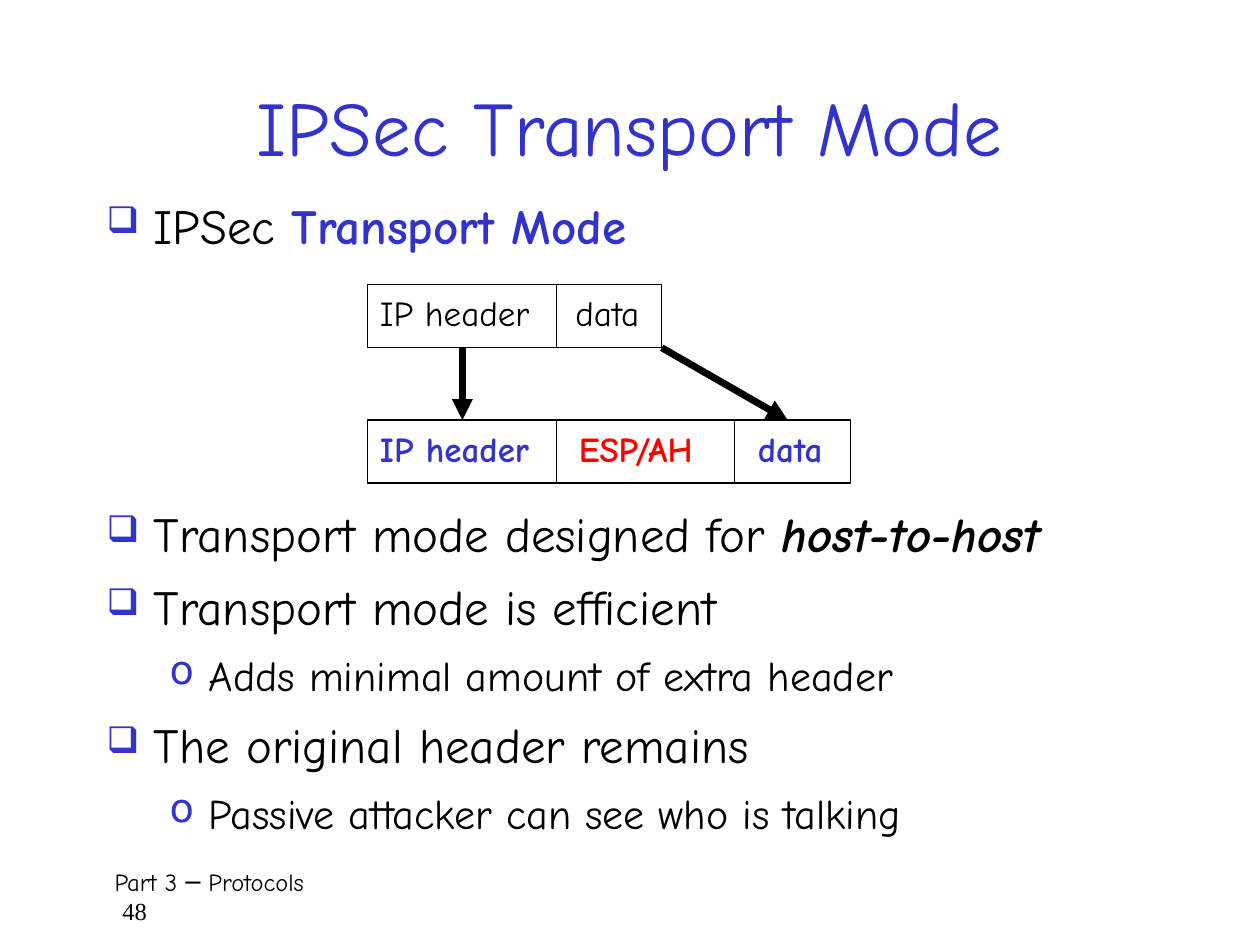
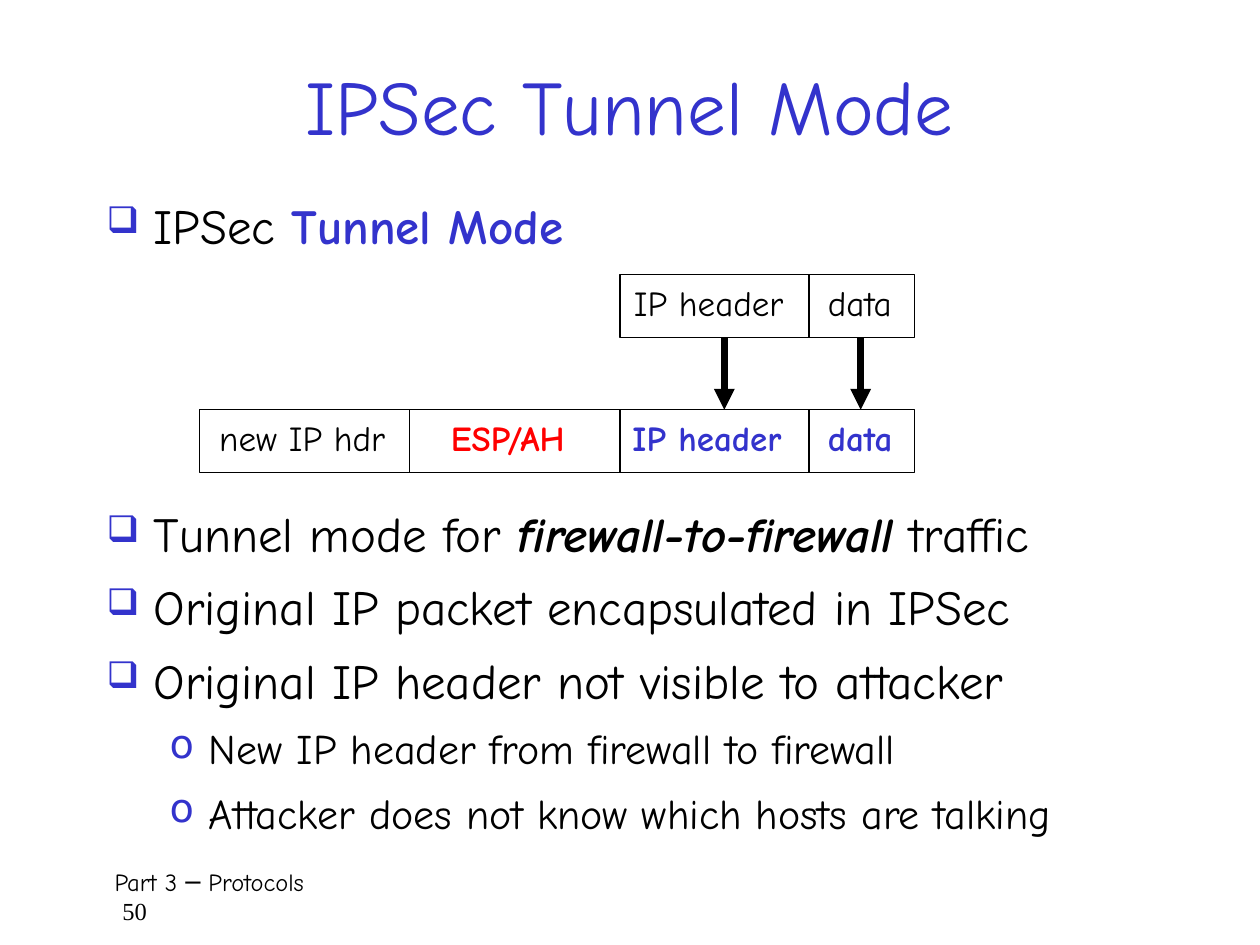
import dataclasses

import lxml.etree
import pptx
import pptx.dml.color
import pptx.enum.shapes
import pptx.enum.text
import pptx.oxml.ns
import pptx.util

Cm, Pt = pptx.util.Cm, pptx.util.Pt
RGB = pptx.dml.color.RGBColor.from_string
qn = pptx.oxml.ns.qn


@dataclasses.dataclass(frozen=True)
class Theme:
    font: str = "Comic Neue"
    number_font: str = "Times New Roman"
    ink: str = "000000"
    accent: str = "3333CC"
    alert: str = "FF0000"
    title: int = 44
    levels: tuple = (28, 24)
    label: int = 20
    footer: int = 14
    thin: float = 0.75
    thick: float = 4


THEME = Theme()

# Run styles: colour, bold, italic
PLAIN = (THEME.ink, False, False)
KEY = (THEME.accent, True, False)
ALERT = (THEME.alert, True, False)
STRESS = (THEME.ink, True, True)

# Bullet levels: character, size in percent, left margin, hanging indent (cm)
BULLETS = (("❑", 75, 0.95, 0.95), ("o", 95, 2.06, 0.79))

FOOTER = "Part 3 ─ Protocols"
MARGIN = 1.9
ROW_H = 1.27

# Packet rows hold left, top and cells of (label, style, width, label offset) in cm.
# Arrows hold the x of their start under the first row and end above the second.
SLIDES = [
    {
        "number": "48",
        "title": "IPSec Transport Mode",
        "title_top": 1.27,
        "lead": [(0, [("IPSec ", PLAIN), ("Transport Mode", KEY)])],
        "rows": [
            (7.41, 5.74, [("IP header", PLAIN, 3.81, 0), ("data", PLAIN, 2.12, 0.13)]),
            (7.41, 8.47, [("IP header", KEY, 3.81, 0), ("ESP/AH", ALERT, 3.59, 0.2),
                          ("data", KEY, 2.34, 0.22)]),
        ],
        "arrows": [(9.32, 9.32), (13.34, 15.88)],
        "points": [
            (0, [("Transport mode designed for ", PLAIN), ("host-to-host", STRESS)]),
            (0, [("Transport mode is efficient", PLAIN)]),
            (1, [("Adds minimal amount of extra header", PLAIN)]),
            (0, [("The original header remains", PLAIN)]),
            (1, [("Passive attacker can see who is talking", PLAIN)]),
        ],
    },
    {
        "number": "50",
        "title": "IPSec Tunnel Mode",
        "title_top": 0.85,
        "lead": [(0, [("IPSec ", PLAIN), ("Tunnel Mode", KEY)])],
        "rows": [
            (12.5, 5.53, [("IP header", PLAIN, 3.81, 0.03), ("data", PLAIN, 2.12, 0.13)]),
            (4.02, 8.26, [("new IP hdr", PLAIN, 4.24, 0.15), ("ESP/AH", ALERT, 4.24, 0.58),
                          ("IP header", KEY, 3.81, 0), ("data", KEY, 2.12, 0.13)]),
        ],
        "arrows": [(14.6, 14.6), (17.35, 17.35)],
        "points": [
            (0, [("Tunnel mode for ", PLAIN), ("firewall-to-firewall", STRESS),
                 (" traffic", PLAIN)]),
            (0, [("Original IP packet encapsulated in IPSec", PLAIN)]),
            (0, [("Original IP header not visible to attacker", PLAIN)]),
            (1, [("New IP header from firewall to firewall", PLAIN)]),
            (1, [("Attacker does not know which hosts are talking", PLAIN)]),
        ],
    },
]


def format_run(r, size, style=PLAIN, font=THEME.font):
    color, bold, italic = style
    r.font.name, r.font.size = font, Pt(size)
    r.font.bold, r.font.italic = bold, italic
    r.font.color.rgb = RGB(color)


def add_text(s, left, top, width, height, text=""):
    sp = s.shapes.add_textbox(Cm(left), Cm(top), Cm(width), Cm(height))
    tf = sp.text_frame
    tf.word_wrap = True
    tf.text = text
    return tf


def add_child(parent, tag, **attrs):
    return lxml.etree.SubElement(parent, qn(tag), attrs)


def set_bullet(p, level, tight):
    """Set bullet, indents and spacing; tight is for the lines of a list."""
    char, percent, margin, hang = BULLETS[level]
    pPr = p._p.get_or_add_pPr()
    pPr.set("marL", str(Cm(margin)))
    pPr.set("indent", str(-Cm(hang)))
    if tight:
        p.line_spacing = 0.9
    add_child(add_child(pPr, "a:spcBef"), "a:spcPct", val="20000")
    if tight:
        p.space_after = Pt(6)
    add_child(add_child(pPr, "a:buClr"), "a:srgbClr", val=THEME.accent)
    add_child(pPr, "a:buSzPct", val=str(percent * 1000))
    add_child(pPr, "a:buChar", char=char)


def add_bullets(s, top, width, height, items, tight):
    tf = add_text(s, MARGIN, top, width, height)
    for i, (level, parts) in enumerate(items):
        p = tf.add_paragraph() if i else tf.paragraphs[0]
        p.level = level
        set_bullet(p, level, tight)
        for text, style in parts:
            r = p.add_run()
            r.text = text
            format_run(r, THEME.levels[level], style)


def add_line(s, x0, y0, x1, y1, weight, arrow=False):
    line = s.shapes.add_connector(pptx.enum.shapes.MSO_CONNECTOR.STRAIGHT,
                                  Cm(x0), Cm(y0), Cm(x1), Cm(y1))
    line.line.color.rgb = RGB(THEME.ink)
    line.line.width = Pt(weight)
    if arrow:
        add_child(line.line._get_or_add_ln(), "a:tailEnd", type="triangle")
    add_child(line._element.spPr, "a:effectLst")


def add_packet(s, left, top, cells):
    frame = s.shapes.add_shape(pptx.enum.shapes.MSO_SHAPE.RECTANGLE, Cm(left), Cm(top),
                               Cm(sum(c[2] for c in cells)), Cm(ROW_H))
    frame.shadow.inherit = False
    frame.fill.background()
    frame.line.color.rgb = RGB(THEME.ink)
    frame.line.width = Pt(THEME.thin)
    x = left
    for text, style, width, offset in cells:
        if x > left:
            add_line(s, x, top, x, top + ROW_H, THEME.thin)
        tf = add_text(s, x + offset, top + 0.02, width - offset, 1.24, text)
        tf.margin_right = 0
        format_run(tf.paragraphs[0].runs[0], THEME.label, style)
        x += width


def add_title(s, text, top):
    tf = add_text(s, MARGIN, top, 21.59, 2.54, text)
    tf.vertical_anchor = pptx.enum.text.MSO_ANCHOR.MIDDLE
    p = tf.paragraphs[0]
    p.alignment = pptx.enum.text.PP_ALIGN.CENTER
    format_run(p.runs[0], THEME.title, (THEME.accent, False, False))


def add_footer(s, number):
    tf = add_text(s, MARGIN, 17.35, 21.79, 1.27, FOOTER)
    tf.add_paragraph().text = number
    fonts, indents = (THEME.font, THEME.number_font), (0.16, 0.32)
    for p, font, indent in zip(tf.paragraphs, fonts, indents):
        p._p.get_or_add_pPr().set("marL", str(Cm(indent)))
        format_run(p.runs[0], THEME.footer, font=font)


def add_slide(prs, content):
    s = prs.slides.add_slide(prs.slide_layouts[6])
    add_footer(s, content["number"])
    add_title(s, content["title"], content["title_top"])
    add_bullets(s, 3.81, 20, 1.6, content["lead"], tight=False)
    for row in content["rows"]:
        add_packet(s, *row)
    (_, upper, _), (_, lower, _) = content["rows"]
    for x0, x1 in content["arrows"]:
        add_line(s, x0, upper + ROW_H, x1, lower, THEME.thick, arrow=True)
    add_bullets(s, 10.16, 22.5, 6.99, content["points"], tight=True)


def main():
    prs = pptx.Presentation()
    prs.slide_width, prs.slide_height = Cm(25.4), Cm(19.05)
    for content in SLIDES:
        add_slide(prs, content)
    prs.save("out.pptx")


if __name__ == "__main__":
    main()
